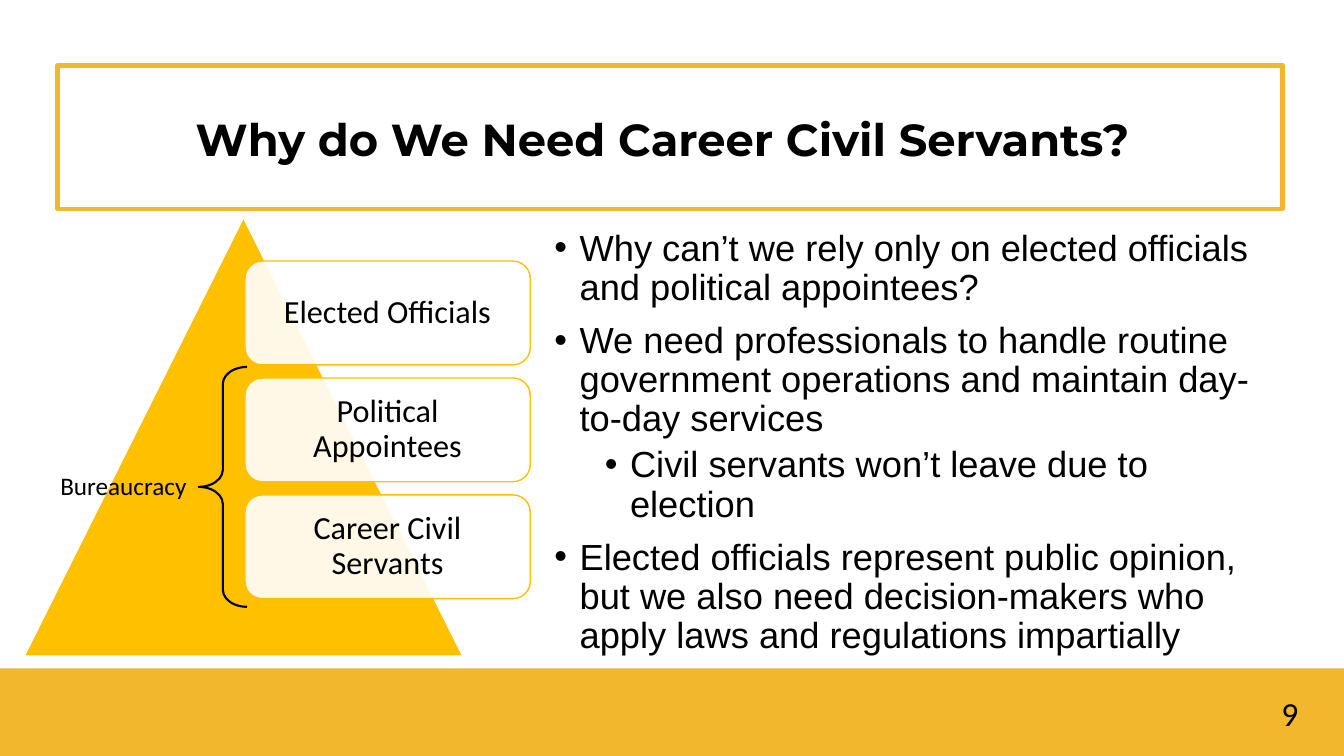
import pptx
import pptx.dml.color
import pptx.enum.shapes
import pptx.enum.text
import pptx.oxml.ns
import pptx.util
from lxml import etree
from pptx.dml.color import RGBColor
from pptx.enum.shapes import MSO_SHAPE
from pptx.enum.text import MSO_ANCHOR, PP_ALIGN
from pptx.util import Inches

BLACK = RGBColor(0x00, 0x00, 0x00)
WHITE = RGBColor(0xFF, 0xFF, 0xFF)
GOLD = RGBColor(0xF1, 0xB8, 0x2D)
AMBER = RGBColor(0xFF, 0xC0, 0x00)
LINE_SPACING = 0.9


def add_shape(kind, left, top, width, height, fill=None, line=None, line_width=1):
    shape = slide.shapes.add_shape(
        kind, Inches(left), Inches(top), Inches(width), Inches(height))
    shape.shadow.inherit = False
    for part, color in ((shape.fill, fill), (shape.line.fill, line)):
        if color is None:
            part.background()
        else:
            part.solid()
            part.fore_color.rgb = color
    if line is not None:
        shape.line.width = pptx.util.Pt(line_width)
    return shape


def write(paragraph, text, size, font="Calibri", bold=False):
    paragraph.text = text
    font_values = {"name": font, "size": pptx.util.Pt(size), "bold": bold}
    for name, value in font_values.items():
        setattr(paragraph.font, name, value)
    paragraph.font.color.rgb = BLACK


presentation = pptx.Presentation()
presentation.slide_width = Inches(13.33)
presentation.slide_height = Inches(7.5)
slide = presentation.slides.add_slide(presentation.slide_layouts[5])

# Title
title = slide.shapes.title
title_place = {"left": 0.57, "top": 0.65, "width": 12.15, "height": 1.42}
for name, value in title_place.items():
    setattr(title, name, Inches(value))
title.fill.solid()
title.fill.fore_color.rgb = WHITE
title.line.color.rgb = GOLD
title.line.width = pptx.util.Pt(3)
title_frame = title.text_frame
title_format = {
    "word_wrap": True,
    "vertical_anchor": MSO_ANCHOR.MIDDLE,
    "margin_left": Inches(0.3),
    "margin_top": Inches(0.2),
    "margin_right": Inches(0.44),
    "margin_bottom": Inches(0.1),
}
for name, value in title_format.items():
    setattr(title_frame, name, value)
paragraph = title_frame.paragraphs[0]
write(paragraph, "Why do We Need Career Civil Servants?", 32, "Montserrat", True)
paragraph.alignment = PP_ALIGN.CENTER
paragraph.line_spacing = LINE_SPACING

# Footer band
add_shape(MSO_SHAPE.RECTANGLE, 0, 6.63, 13.33, 0.87, GOLD)

# Pyramid with its three levels
add_shape(MSO_SHAPE.ISOSCELES_TRIANGLE, 0.24, 2.16, 4.35, 4.35, AMBER, WHITE)
levels = ["Elected Officials", "Political Appointees", "Career Civil Servants"]
for index, level in enumerate(levels):
    box = add_shape(MSO_SHAPE.ROUNDED_RECTANGLE,
                    2.43, 2.59 + 1.16 * index, 2.83, 1.03, WHITE, AMBER)
    fill_color = box.fill._xPr.find(".//" + pptx.oxml.ns.qn("a:srgbClr"))
    etree.SubElement(fill_color, pptx.oxml.ns.qn("a:alpha"), val="90000")
    box.text_frame.word_wrap = True
    box.text_frame.vertical_anchor = MSO_ANCHOR.MIDDLE
    box.text_frame.margin_left = box.text_frame.margin_right = Inches(0.15)
    paragraph = box.text_frame.paragraphs[0]
    write(paragraph, level, 23)
    paragraph.alignment = PP_ALIGN.CENTER
    paragraph.line_spacing = LINE_SPACING

brace = add_shape(MSO_SHAPE.LEFT_BRACE, 1.97, 3.64, 0.48, 2.38, None, BLACK, 1.5)
brace.adjustments[0] = 0.352

# Brace label and page number
for text, size, left, top, width, height in (
        ("Bureaucracy", 18, 0.5, 4.62, 1.47, 0.4),
        ("9", 24, 12.61, 6.83, 0.6, 0.5)):
    label = slide.shapes.add_textbox(
        Inches(left), Inches(top), Inches(width), Inches(height))
    label.text_frame.word_wrap = True
    write(label.text_frame.paragraphs[0], text, size)

# Bullets: level, space before in points, text
bullets = [
    (0, 0, "Why can’t we rely only on elected officials and political appointees?"),
    (0, 10, "We need professionals to handle routine government operations "
            "and maintain day-to-day services"),
    (1, 5, "Civil servants won’t leave due to election"),
    (0, 10, "Elected officials represent public opinion, but we also need "
            "decision-makers who apply laws and regulations impartially"),
]
body = slide.shapes.add_textbox(Inches(5.4), Inches(2.23), Inches(7.32), Inches(4.36))
body.text_frame.word_wrap = True
for index, (level, space_before, text) in enumerate(bullets):
    paragraph = body.text_frame.paragraphs[0] if index == 0 else body.text_frame.add_paragraph()
    paragraph.level = level
    paragraph.line_spacing = LINE_SPACING
    paragraph.space_before = pptx.util.Pt(space_before)
    properties = paragraph._p.get_or_add_pPr()
    properties.set("marL", str(Inches(0.25 + 0.5 * level)))
    properties.set("indent", str(Inches(-0.25)))
    etree.SubElement(properties, pptx.oxml.ns.qn("a:buFont"), typeface="Arial")
    etree.SubElement(properties, pptx.oxml.ns.qn("a:buChar"), char="•")
    write(paragraph, text, 25.9, "Arial")

presentation.save("out.pptx")
